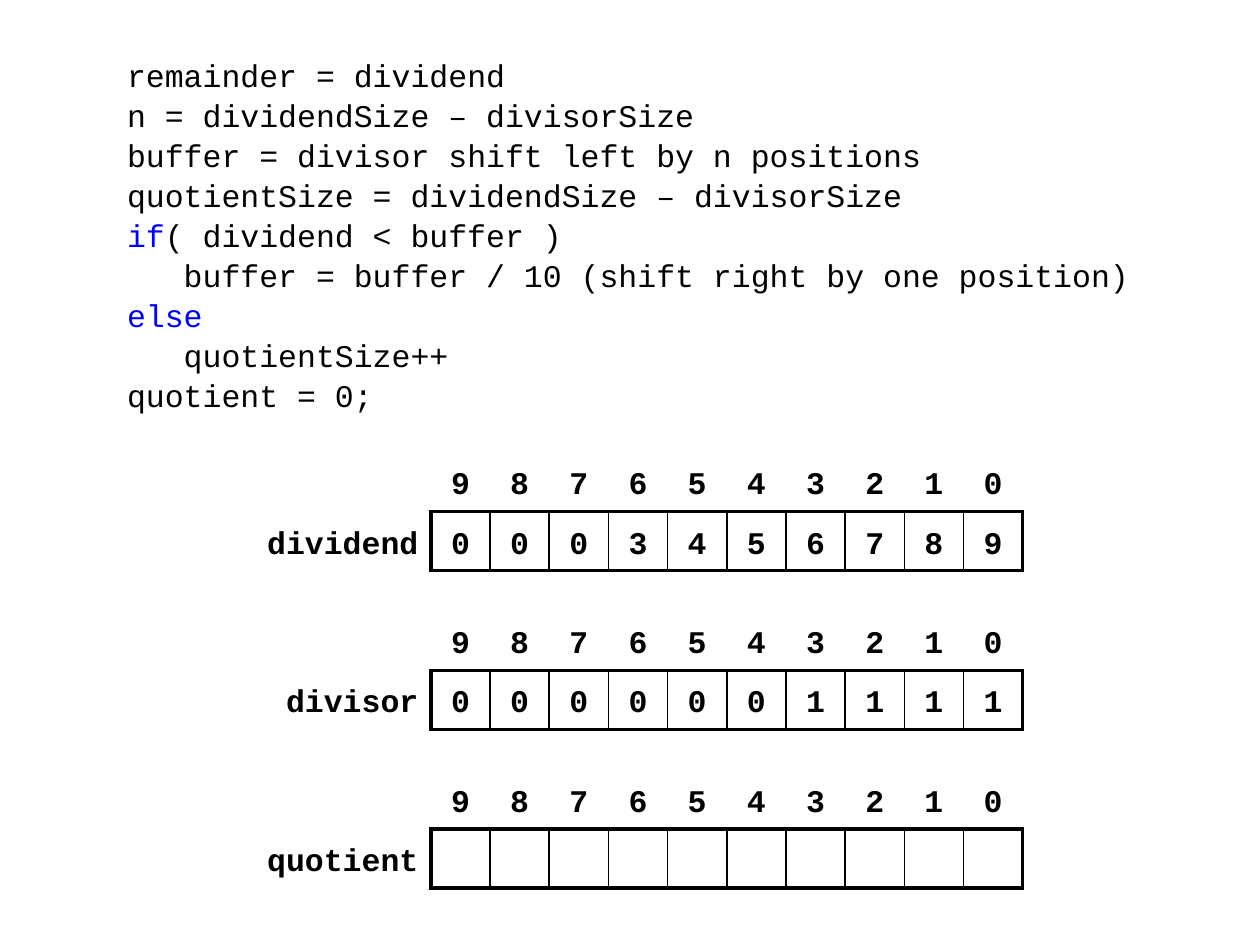
from lxml import etree
from pptx import Presentation
from pptx.dml.color import RGBColor
from pptx.enum.text import MSO_ANCHOR, PP_ALIGN
from pptx.oxml.ns import qn
from pptx.util import Inches, Pt

BLACK = RGBColor(0x00, 0x00, 0x00)
BLUE = RGBColor(0x00, 0x00, 0xFF)
FONT = "Courier New"
NO_GRID_STYLE = "{2D5ABB26-0587-4C30-8999-92F81FD0307C}"
THICK, THIN = 2.25, 1
DIGITS = 10
LABEL_W, CELL = 1.57, 0.47
INDENT = 0.45


def add_run(p, text, color=BLACK, bold=False):
    """Append a code-styled run to a paragraph."""
    r = p.add_run()
    r.text = text
    r.font.name = FONT
    r.font.size = Pt(18)
    r.font.bold = bold
    r.font.color.rgb = color


def set_borders(cell, **widths):
    """Draw black borders on a cell, given as side=points in L, R, T, B order."""
    tcPr = cell._tc.get_or_add_tcPr()
    for side, width in widths.items():
        ln = etree.SubElement(tcPr, qn(f"a:ln{side}"), w=str(Pt(width)))
        fill = etree.SubElement(ln, qn("a:solidFill"))
        etree.SubElement(fill, qn("a:srgbClr"), val=str(BLACK))


prs = Presentation()
prs.slide_width, prs.slide_height = Inches(10), Inches(7.5)
s = prs.slides.add_slide(prs.slide_layouts[6])

# Pseudocode: indent level, keyword, remaining text
code = [
    (0, "", "remainder = dividend"),
    (0, "", "n = dividendSize – divisorSize"),
    (0, "", "buffer = divisor shift left by n positions"),
    (0, "", "quotientSize = dividendSize – divisorSize"),
    (0, "if", "( dividend < buffer )"),
    (1, "", "buffer = buffer / 10 (shift right by one position)"),
    (0, "else", ""),
    (1, "", "quotientSize++"),
    (0, "", "quotient = 0;"),
]
tf = s.shapes.add_textbox(Inches(0.91), Inches(0.44), Inches(8.19), Inches(2.83)).text_frame
tf.word_wrap = True
tf.vertical_anchor = MSO_ANCHOR.MIDDLE
for i, (level, keyword, rest) in enumerate(code):
    p = tf.add_paragraph() if i else tf.paragraphs[0]
    p.line_spacing = 1.06
    if level:
        p._p.get_or_add_pPr().set("marL", str(Inches(level * INDENT)))
    if keyword:
        add_run(p, keyword, BLUE)
    if rest:
        add_run(p, rest)

# Registers: digit positions above, label and digits below
registers = [("dividend", "0003456789"), ("divisor", "0000001111"), ("quotient", " " * DIGITS)]
for n, (name, digits) in enumerate(registers):
    frame = s.shapes.add_table(2, DIGITS + 1, Inches(1.85), Inches(3.59 + 1.26 * n),
                               Inches(LABEL_W + DIGITS * CELL), Inches(2 * CELL))
    table = frame.table
    table.first_row = table.horz_banding = False
    table._tbl.tblPr.find(qn("a:tableStyleId")).text = NO_GRID_STYLE
    for c, column in enumerate(table.columns):
        column.width = Inches(CELL if c else LABEL_W)

    rows = [["", *"9876543210"], [name, *digits]]
    for r, values in enumerate(rows):
        table.rows[r].height = Inches(CELL)
        for c, value in enumerate(values):
            cell = table.cell(r, c)
            cell.margin_left = cell.margin_right = Inches(0.1)
            cell.margin_top = cell.margin_bottom = Inches(0.04)
            cell.vertical_anchor = MSO_ANCHOR.MIDDLE
            if r == 1 and c == 0:
                set_borders(cell, R=THICK)
            elif r == 1:
                set_borders(cell, L=THICK if c == 1 else THIN,
                            R=THICK if c == DIGITS else THIN, T=THICK, B=THICK)
            cell.fill.background()
            if value.strip():
                p = cell.text_frame.paragraphs[0]
                p.alignment = PP_ALIGN.CENTER if c else PP_ALIGN.RIGHT
                p.line_spacing = 1.25
                add_run(p, value, bold=True)

prs.save("out.pptx")
